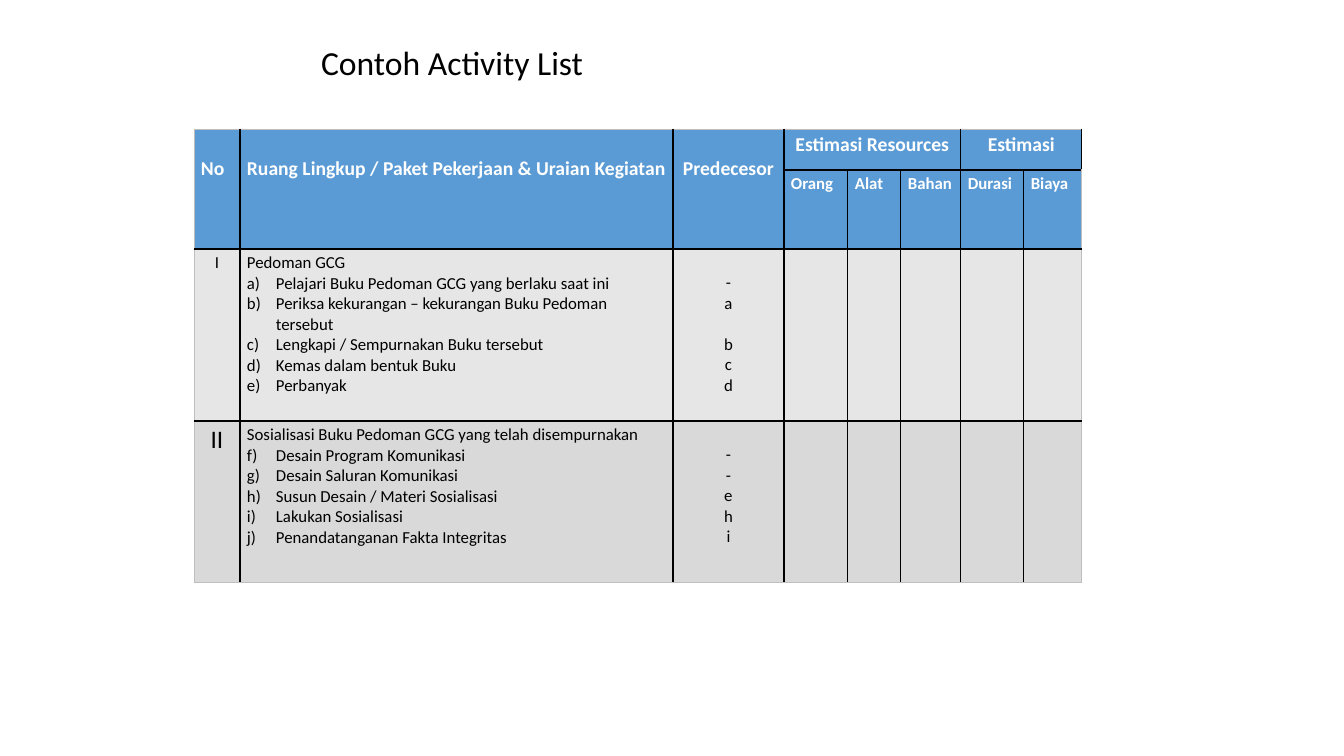
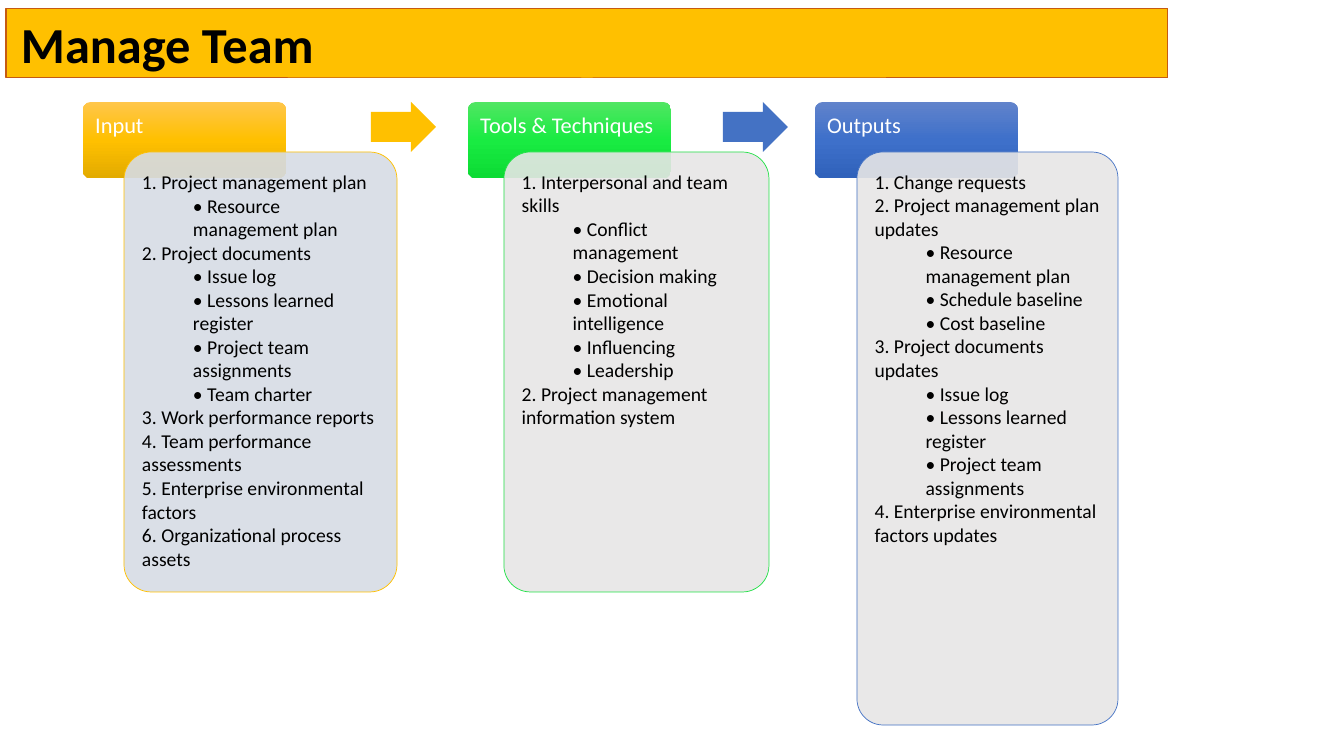
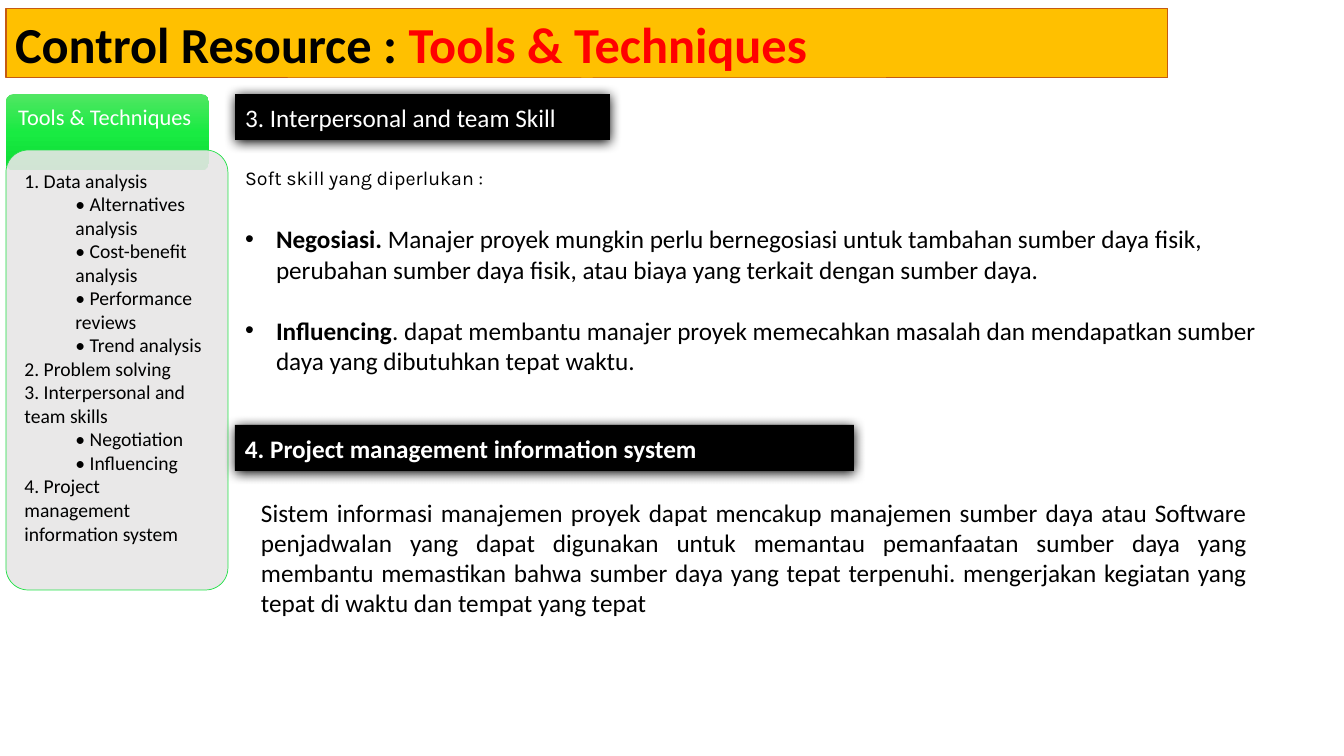
from lxml.etree import SubElement
from pptx import Presentation
from pptx.dml.color import RGBColor
from pptx.enum.shapes import MSO_SHAPE
from pptx.enum.text import MSO_ANCHOR, MSO_AUTO_SIZE, PP_ALIGN
from pptx.oxml.ns import qn
from pptx.util import Emu, Pt

SLIDE_W, SLIDE_H = 1344, 756
EMU_PER_PX = 12192000 / SLIDE_W
FONT = "Calibri"
COLORS = {
    "black": "000000", "white": "FFFFFF", "red": "FF0000",
    "band": "FFC000", "band_edge": "C55A11",
    "table_head": "5B9BD5", "row_light": "E6E6E6", "row_dark": "D9D9D9",
    "table_edge": "BFBFBF", "gold": "FFC000", "blue": "4472C4",
    "green": "23E148", "card_blue": "D6DCE5", "card_gray": "E7E6E6",
    "gold_top": "FFC64B", "gold_mid": "FFC000", "gold_low": "E3AB00",
    "green_top": "51E663", "green_mid": "19EB42", "green_low": "0CDB34",
    "blue_top": "6183CB", "blue_mid": "3E70CA", "blue_low": "3062BB",
}
LINE_12 = 14.65  # height in points of one 12 pt line
LINE_18 = 22


def px(n):
    return Emu(round(n * EMU_PER_PX))


def rgb(name):
    return RGBColor.from_string(COLORS[name])


def place(shape, box):
    shape.left, shape.top, shape.width, shape.height = map(px, box)


def set_frame(frame, margins, anchor=MSO_ANCHOR.TOP):
    """Margins are left, top, right, bottom in px."""
    frame.word_wrap = True
    frame.auto_size = MSO_AUTO_SIZE.NONE
    frame.vertical_anchor = anchor
    (frame.margin_left, frame.margin_top,
     frame.margin_right, frame.margin_bottom) = map(px, margins)


def add_run(paragraph, text, size, color="black", bold=False, font=FONT):
    run = paragraph.add_run()
    run.text = text
    run.font.size = Pt(size)
    run.font.bold = bold
    run.font.name = font
    run.font.color.rgb = rgb(color)


def next_paragraph(frame, index, align=PP_ALIGN.LEFT, before=0):
    paragraph = frame.paragraphs[0] if index == 0 else frame.add_paragraph()
    paragraph.alignment = align
    paragraph.space_before = Pt(before)
    paragraph.space_after = Pt(0)
    return paragraph


def set_indent(paragraph, left, hanging=0):
    props = paragraph._p.get_or_add_pPr()
    props.set("marL", str(px(left)))
    props.set("indent", str(-px(hanging)))
    return props


def add_preset(slide, kind, box, fill=None, line=None, line_width=0.5):
    shape = slide.shapes.add_shape(kind, *map(px, box))
    shape.shadow.inherit = False
    if fill:
        shape.fill.solid()
        shape.fill.fore_color.rgb = rgb(fill)
    if line:
        shape.line.color.rgb = rgb(line)
        shape.line.width = Pt(line_width)
    else:
        shape.line.fill.background()
    return shape


def new_slide(deck, layout):
    return deck.slides.add_slide(deck.slide_layouts[layout])


def add_title_band(slide, runs, left_margin=9):
    title = slide.shapes.title
    place(title, (6, 8, 1162, 70))
    title.fill.solid()
    title.fill.fore_color.rgb = rgb("band")
    title.line.color.rgb = rgb("band_edge")
    title.line.width = Pt(0.75)
    set_frame(title.text_frame, (left_margin, 5, 9, 5))
    paragraph = next_paragraph(title.text_frame, 0)
    for text, color in runs:
        add_run(paragraph, text, 36, color, bold=True)


# Activity table

def set_borders(cell, row, col, rows, cols):
    """Black rules inside the grid, a faint hairline around it."""
    props = cell._tc.get_or_add_tcPr()
    sides = (("a:lnL", col == 0), ("a:lnR", col == cols - 1),
             ("a:lnT", row == 0), ("a:lnB", row == rows - 1))
    for index, (tag, outer) in enumerate(sides):
        line = props.makeelement(qn(tag), {"w": str(Pt(0.5 if outer else 1))})
        fill = SubElement(line, qn("a:solidFill"))
        SubElement(fill, qn("a:srgbClr"),
                   val=COLORS["table_edge" if outer else "black"])
        props.insert(index, line)


def style_cell(cell, fill):
    cell.fill.solid()
    cell.fill.fore_color.rgb = rgb(fill)
    cell.margin_left = cell.margin_right = px(7)
    cell.margin_top = cell.margin_bottom = px(4)


def write_cell(cell, text, size, color="black", bold=False,
               align=PP_ALIGN.LEFT, top=4):
    cell.margin_top = px(top)
    add_run(next_paragraph(cell.text_frame, 0, align), text, size, color, bold)


def write_work_package(cell, heading, tasks, start):
    write_cell(cell, heading, 12)
    for index, task in enumerate(tasks, 1):
        paragraph = next_paragraph(cell.text_frame, index)
        props = set_indent(paragraph, 29, 29)
        SubElement(props, qn("a:buFont"), typeface="+mj-lt")
        SubElement(props, qn("a:buAutoNum"), type="alphaLcParenR",
                   startAt=str(start))
        add_run(paragraph, task, 12)


def write_predecessors(cell, letters, gap_at):
    cell.margin_top = px(24)
    for index, letter in enumerate(letters):
        before = LINE_12 if index == gap_at else 0
        paragraph = next_paragraph(cell.text_frame, index, PP_ALIGN.CENTER, before)
        add_run(paragraph, letter, 12)


def add_activity_table(slide, left, top):
    widths = (46, 433, 111, 64, 53, 60, 63, 58)
    heights = (41, 79, 172, 161)
    rows, cols = len(heights), len(widths)
    table = slide.shapes.add_table(
        rows, cols, px(left), px(top), px(sum(widths)), px(sum(heights))).table
    table.first_row = table.horz_banding = False
    for column, width in zip(table.columns, widths):
        column.width = px(width)
    for row, height in zip(table.rows, heights):
        row.height = px(height)

    fills = ("table_head", "table_head", "row_light", "row_dark")
    for row, fill in enumerate(fills):
        for col in range(cols):
            style_cell(table.cell(row, col), fill)
            set_borders(table.cell(row, col), row, col, rows, cols)

    center = PP_ALIGN.CENTER
    heads = (
        ("No", 0, 1, 0, PP_ALIGN.LEFT, 28),
        ("Ruang Lingkup / Paket Pekerjaan & Uraian Kegiatan", 1, 1, 1,
         PP_ALIGN.LEFT, 28),
        ("Predecesor", 2, 1, 2, center, 28),
        ("Estimasi Resources", 3, 0, 5, center, 4),
        ("Estimasi", 6, 0, 7, center, 4),
    )
    for text, first_col, last_row, last_col, align, margin in heads:
        cell = table.cell(0, first_col)
        cell.merge(table.cell(last_row, last_col))
        write_cell(cell, text, 14, "white", True, align, margin)
    for col, text in enumerate(("Orang", "Alat", "Bahan", "Durasi", "Biaya"), 3):
        write_cell(table.cell(1, col), text, 12, "white", True)

    packages = (
        ("I", 12, "Pedoman GCG",
         ("Pelajari Buku Pedoman GCG yang berlaku saat ini",
          "Periksa kekurangan – kekurangan Buku Pedoman tersebut",
          "Lengkapi / Sempurnakan Buku tersebut",
          "Kemas dalam bentuk Buku", "Perbanyak"), 1, "-abcd", 2),
        ("II", 18, "Sosialisasi Buku Pedoman GCG yang telah disempurnakan",
         ("Desain Program Komunikasi", "Desain Saluran Komunikasi",
          "Susun Desain / Materi Sosialisasi", "Lakukan Sosialisasi",
          "Penandatanganan Fakta Integritas"), 6, "--ehi", None),
    )
    for row, (number, size, heading, tasks, start, letters, gap) in enumerate(
            packages, 2):
        write_cell(table.cell(row, 0), number, size, align=center)
        write_work_package(table.cell(row, 1), heading, tasks, start)
        write_predecessors(table.cell(row, 2), letters, gap)


# Process stages

def set_gradient(shape, hue):
    shape.fill.gradient()
    shape.fill.gradient_angle = 270
    stops = shape._element.spPr.find(".//" + qn("a:gsLst"))
    for stop in list(stops):
        stops.remove(stop)
    for position, part in ((0, "top"), (50000, "mid"), (100000, "low")):
        stop = SubElement(stops, qn("a:gs"), pos=str(position))
        SubElement(stop, qn("a:srgbClr"), val=COLORS[f"{hue}_{part}"])


def add_rounded(slide, box, margins, fill=None, line=None):
    """Rounded box whose text margins count from its outer edges."""
    shape = add_preset(slide, MSO_SHAPE.ROUNDED_RECTANGLE, box, fill, line)
    shape.adjustments[0] = 0.1
    corner = round(0.029 * min(box[2:]))
    set_frame(shape.text_frame, [margin - corner for margin in margins])
    return shape


def add_stage(slide, left, top, label, hue, card_fill, card_box, items):
    """Header with a list card; card_box is relative to the header."""
    header = add_rounded(slide, (left, top, 203, 76), (12, 12, 12, 32))
    set_gradient(header, hue)
    paragraph = next_paragraph(header.text_frame, 0)
    paragraph.line_spacing = 0.9
    add_run(paragraph, label, 16, "white")

    dx, dy, width, height = card_box
    card = add_rounded(slide, (left + dx, top + dy, width, height),
                       (18, 18, 18, 18), card_fill, hue)
    color = card._element.spPr.find(qn("a:solidFill"))[0]
    SubElement(color, qn("a:alpha"), val="90000")
    for index, item in enumerate(items):
        paragraph = next_paragraph(card.text_frame, index)
        if item.startswith("•"):
            set_indent(paragraph, 51)
        add_run(paragraph, item, 14)


def add_flow_arrow(slide, left, top, color):
    arrow = add_preset(slide, MSO_SHAPE.RIGHT_ARROW, (left, top, 65, 50), color)
    arrow.adjustments[0] = 0.6
    arrow.adjustments[1] = 0.5


# Technique details

def add_section_label(slide, box, text, bold=False):
    label = add_preset(slide, MSO_SHAPE.RECTANGLE, box, "black")
    effects = label._element.spPr.find(qn("a:effectLst"))
    shadow = SubElement(effects, qn("a:outerShdw"), blurRad=str(Pt(8.5)),
                        dist=str(Pt(1)), dir="5400000", algn="t",
                        rotWithShape="0")
    SubElement(shadow, qn("a:srgbClr"), val=COLORS["black"])
    set_frame(label.text_frame, (10, 5, 10, 5), MSO_ANCHOR.MIDDLE)
    add_run(next_paragraph(label.text_frame, 0), text, 18, "white", bold)


def fill_skill_list(body, box, intro, skills):
    place(body, box)
    frame = body.text_frame
    set_frame(frame, (10, 5, 10, 5))
    paragraph = next_paragraph(frame, 0, PP_ALIGN.JUSTIFY)
    paragraph.line_spacing = 1.5
    SubElement(set_indent(paragraph, 0), qn("a:buNone"))
    add_run(paragraph, intro, 14, font="Karla")
    for index, (name, text) in enumerate(skills, 1):
        before = 24.5 if index == 1 else LINE_18
        paragraph = next_paragraph(frame, index, before=before)
        props = set_indent(paragraph, 31, 31)
        SubElement(props, qn("a:buFont"), typeface="Arial")
        SubElement(props, qn("a:buChar"), char="•")
        add_run(paragraph, name, 18, bold=True)
        add_run(paragraph, text, 18)


def add_explanation(slide, box, text):
    frame = slide.shapes.add_textbox(*map(px, box)).text_frame
    set_frame(frame, (10, 5, 10, 5))
    add_run(next_paragraph(frame, 0, PP_ALIGN.JUSTIFY), text, 18)


def build_activity_list(deck):
    slide = new_slide(deck, 5)
    title = slide.shapes.title
    place(title, (311, 42, 630, 46))
    set_frame(title.text_frame, (10, 5, 10, 5), MSO_ANCHOR.MIDDLE)
    paragraph = next_paragraph(title.text_frame, 0)
    paragraph.line_spacing = 0.9
    add_run(paragraph, "Contoh Activity List", 24)
    add_activity_table(slide, 194, 129)


def build_manage_team(deck):
    slide = new_slide(deck, 5)
    add_title_band(slide, [("Manage Team", "black")], left_margin=15)
    top = 102
    add_stage(slide, 83, top, "Input", "gold", "card_blue", (41, 50, 273, 440), (
        "1. Project management plan", "• Resource management plan",
        "2. Project documents", "• Issue log", "• Lessons learned register",
        "• Project team assignments", "• Team charter",
        "3. Work performance reports", "4. Team performance", "assessments",
        "5. Enterprise environmental", "factors",
        "6. Organizational process assets"))
    add_stage(slide, 468, top, "Tools & Techniques", "green", "card_gray",
              (36, 50, 265, 440), (
                  "1. Interpersonal and team skills", "• Conflict management",
                  "• Decision making", "• Emotional intelligence",
                  "• Influencing", "• Leadership", "2. Project management",
                  "information system"))
    add_stage(slide, 815, top, "Outputs", "blue", "card_gray",
              (42, 50, 261, 573), (
                  "1. Change requests", "2. Project management plan", "updates",
                  "• Resource management plan", "• Schedule baseline",
                  "• Cost baseline", "3. Project documents updates",
                  "• Issue log", "• Lessons learned register",
                  "• Project team assignments", "4. Enterprise environmental",
                  "factors updates"))
    add_flow_arrow(slide, 371, top, "gold")
    add_flow_arrow(slide, 723, top, "blue")


def build_control_resource(deck):
    slide = new_slide(deck, 1)
    add_title_band(slide, [("Control Resource : ", "black"),
                           ("Tools & Techniques", "red")])
    add_section_label(slide, (235, 94, 375, 46), "3. Interpersonal and team Skill")
    fill_skill_list(
        slide.placeholders[1], (235, 149, 1082, 239),
        "Soft skill yang diperlukan :", (
            ("Negosiasi. ",
             "Manajer proyek mungkin perlu bernegosiasi untuk tambahan sumber "
             "daya fisik, perubahan sumber daya fisik, atau biaya yang terkait "
             "dengan sumber daya."),
            ("Influencing",
             ". dapat membantu manajer proyek memecahkan masalah dan "
             "mendapatkan sumber daya yang dibutuhkan tepat waktu.")))
    add_stage(slide, 6, 94, "Tools & Techniques", "green", "card_gray",
              (0, 56, 222, 440), (
                  "1. Data analysis", "• Alternatives analysis",
                  "• Cost-benefit analysis", "• Performance reviews",
                  "• Trend analysis", "2. Problem solving",
                  "3. Interpersonal and team skills", "• Negotiation",
                  "• Influencing", "4. Project management",
                  "information system"))
    add_section_label(slide, (235, 425, 619, 46),
                      "4. Project management information system", bold=True)
    add_explanation(
        slide, (251, 492, 1006, 132),
        "Sistem informasi manajemen proyek dapat mencakup manajemen sumber daya "
        "atau Software penjadwalan yang dapat digunakan untuk memantau "
        "pemanfaatan sumber daya yang membantu memastikan bahwa sumber daya "
        "yang tepat terpenuhi. mengerjakan kegiatan yang tepat di waktu dan "
        "tempat yang tepat")


def main():
    deck = Presentation()
    deck.slide_width, deck.slide_height = px(SLIDE_W), px(SLIDE_H)
    build_activity_list(deck)
    build_manage_team(deck)
    build_control_resource(deck)
    deck.save("out.pptx")


if __name__ == "__main__":
    main()
